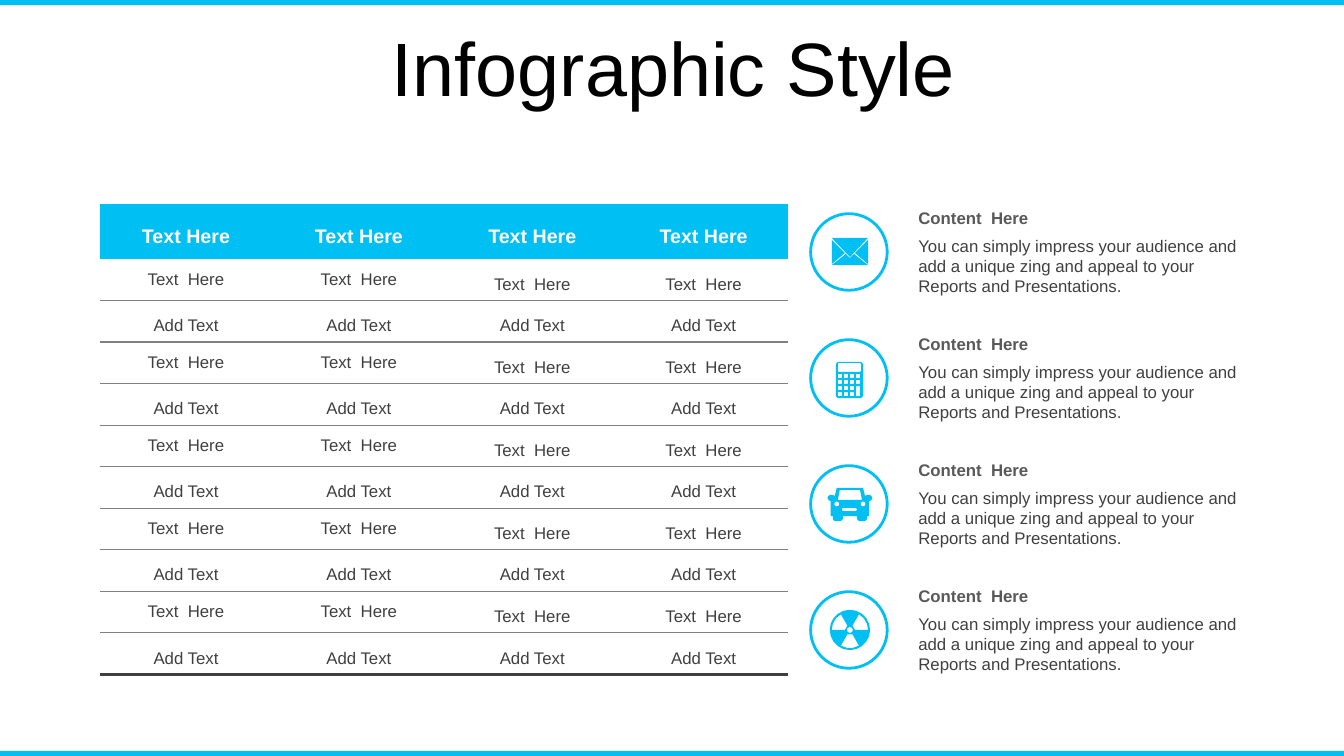
"""Build the infographic slide with a text table and four icon notes."""
import dataclasses
import math

import lxml.etree
import pptx
import pptx.dml.color
import pptx.enum.shapes
import pptx.enum.text
import pptx.oxml.ns
import pptx.util

EMU_PER_PX = 9144
COLORS = {
    "accent": "00BFF3",
    "white": "FFFFFF",
    "black": "000000",
    "heading": "595959",
    "text": "404040",
    "rule": "808080",
}
FONT = "Arial"
PLAIN_TABLE_STYLE = "{2D5ABB26-0587-4C30-8999-92F81FD0307C}"
SLIDE_WIDTH, SLIDE_HEIGHT, BAR_HEIGHT = 1333, 750, 5
TABLE_LEFT, TABLE_TOP = 99, 202
COLUMN_WIDTHS = (171, 172, 172, 168)
HEADER_HEIGHT, BODY_HEIGHT, BODY_ROWS = 55, 412, 10
NOTE_PITCH, NOTE_LEFT, NOTE_WIDTH = 125, 901, 342
BADGE_LEFT, BADGE_TOP, BADGE_SIZE = 804, 212, 76
ICON_X, ICON_Y = 843, 250
NOTE_HEADING = "Content  Here"
NOTE_BODY = ("You can simply impress your audience and add a unique zing "
             "and appeal to your Reports and Presentations.")
MIDDLE = pptx.enum.text.MSO_ANCHOR.MIDDLE
TOP = pptx.enum.text.MSO_ANCHOR.TOP
CENTER = pptx.enum.text.PP_ALIGN.CENTER
LEFT = pptx.enum.text.PP_ALIGN.LEFT
SHAPES = pptx.enum.shapes.MSO_SHAPE

Contour = list[tuple[float, float]]


@dataclasses.dataclass(frozen=True)
class Box:
    left: int
    top: int
    width: int
    height: int

    def emu(self) -> list[int]:
        return [px(length) for length in dataclasses.astuple(self)]


@dataclasses.dataclass(frozen=True)
class TextStyle:
    size: int
    color: str
    bold: bool = False
    align: int = LEFT
    spacing: float = 1.0


TITLE = TextStyle(54, "black", align=CENTER, spacing=0.9)
HEADER = TextStyle(14, "white", True, CENTER, 1.5)
CELL = TextStyle(12, "text", align=CENTER)
LOOSE_CELL = dataclasses.replace(CELL, spacing=1.5)
HEADING = TextStyle(12, "heading", True)
BODY = TextStyle(12, "text")


def px(length: float) -> int:
    return pptx.util.Emu(round(length * EMU_PER_PX))


def rgb(name: str) -> pptx.dml.color.RGBColor:
    return pptx.dml.color.RGBColor.from_string(COLORS[name])


def write(frame, text: str, style: TextStyle) -> None:
    paragraph = frame.paragraphs[0]
    paragraph.alignment = style.align
    paragraph.line_spacing = style.spacing
    run = paragraph.add_run()
    run.text = text
    run.font.name = FONT
    run.font.size = pptx.util.Pt(style.size)
    run.font.bold = style.bold
    run.font.color.rgb = rgb(style.color)


def add_text(shapes, box: Box, text: str, style: TextStyle, anchor=TOP, grow: bool = True) -> None:
    frame = shapes.add_textbox(*box.emu()).text_frame
    frame.word_wrap = True
    frame.vertical_anchor = anchor
    if grow:
        frame.auto_size = pptx.enum.text.MSO_AUTO_SIZE.SHAPE_TO_FIT_TEXT
    write(frame, text, style)


def paint(shape, fill: str, line: str = "") -> None:
    shape.shadow.inherit = False
    shape.fill.solid()
    shape.fill.fore_color.rgb = rgb(fill)
    if line:
        shape.line.color.rgb = rgb(line)
        shape.line.width = pptx.util.Pt(2)
    else:
        shape.line.fill.background()


def underline(cell, color: str, points: float) -> None:
    line = lxml.etree.Element(pptx.oxml.ns.qn("a:lnB"), w=str(pptx.util.Pt(points)))
    solid = lxml.etree.SubElement(line, pptx.oxml.ns.qn("a:solidFill"))
    lxml.etree.SubElement(solid, pptx.oxml.ns.qn("a:srgbClr"), val=COLORS[color])
    cell._tc.get_or_add_tcPr().insert(0, line)


def cell_content(row: int, column: int) -> tuple[str, TextStyle]:
    if row == 0:
        return "Text Here", HEADER
    if row % 2 == 0:
        return "Add Text", LOOSE_CELL
    return "Text  Here", CELL if column < 2 else LOOSE_CELL


def add_text_table(slide) -> None:
    box = Box(TABLE_LEFT, TABLE_TOP, sum(COLUMN_WIDTHS), HEADER_HEIGHT + BODY_HEIGHT)
    table = slide.shapes.add_table(BODY_ROWS + 1, len(COLUMN_WIDTHS), *box.emu()).table
    table.horz_banding = False
    table._tbl.tblPr.find(pptx.oxml.ns.qn("a:tableStyleId")).text = PLAIN_TABLE_STYLE
    for column, width in zip(table.columns, COLUMN_WIDTHS):
        column.width = px(width)
    for row_index, row in enumerate(table.rows):
        row.height = px(BODY_HEIGHT / BODY_ROWS if row_index else HEADER_HEIGHT)
        for column_index, cell in enumerate(row.cells):
            cell.fill.solid()
            cell.fill.fore_color.rgb = rgb("white" if row_index else "accent")
            cell.vertical_anchor = MIDDLE
            if row_index == BODY_ROWS:
                underline(cell, "text", 2.25)
            elif row_index:
                underline(cell, "rule", 1)
            write(cell.text_frame, *cell_content(row_index, column_index))


def arc(radius: float, start: int, sweep: int, steps: int) -> Contour:
    angles = [math.radians(start + sweep * step / steps) for step in range(steps + 1)]
    return [(radius * math.cos(angle), radius * math.sin(angle)) for angle in angles]


def disc(x: int, diameter: int, steps: int = 8) -> Contour:
    return [(x + dx, dy) for dx, dy in arc(diameter / 2, 0, 360, steps)[:-1]]


def bar(left: int, top: int, width: int, height: int, cut: int = 0) -> Contour:
    right, bottom = left + width, top + height
    if not cut:
        return [(left, top), (right, top), (right, bottom), (left, bottom)]
    return [(left + cut, top), (right - cut, top), (right, top + cut), (right, bottom - cut),
            (right - cut, bottom), (left + cut, bottom), (left, bottom - cut), (left, top + cut)]


def mirrored(right_half: Contour) -> Contour:
    return right_half + [(-x, y) for x, y in reversed(right_half)]


def envelope() -> list[Contour]:
    side = [(18, -12), (18, 12), (5, 1)]
    return [[(4, 2), (18, 13), (-18, 13), (-4, 2), (0, 6)],
            side, [(-x, y) for x, y in side],
            [(-18, -14), (18, -14), (0, 5)]]


def calculator() -> list[Contour]:
    keys = [bar(-12 + 6 * column, -4 + 6 * row, 4, 4)
            for row in range(4) for column in range(4) if column < 3 or row < 2]
    return [bar(-14, -16, 27, 36, 2), bar(-12, -15, 23, 9, 1), bar(6, 8, 4, 10), *keys]


def car() -> list[Contour]:
    body = mirrored([(13, -16), (15, -8), (17, -9), (20, -9), (22, -7), (22, -5), (20, -3),
                     (19, -3), (19, 12), (17, 12), (17, 15), (15, 17), (9, 17), (7, 15), (7, 12)])
    return [body, mirrored([(10, -14), (12, -4)]), disc(-13, 5), disc(13, 5), bar(-8, 4, 15, 3, 1)]


def radiation() -> list[Contour]:
    gaps = [arc(18, start, 60, 3) + arc(5, start + 60, -60, 1) for start in (60, 180, 300)]
    return [disc(0, 40, 20), disc(0, 6), *gaps]


def add_icon(slide, contours: list[Contour], y: int) -> None:
    placed = [[(px(ICON_X + dx), px(y + dy)) for dx, dy in contour] for contour in contours]
    builder = slide.shapes.build_freeform(*placed[0][0], scale=1.0)
    builder.add_line_segments(placed[0][1:], close=True)
    for contour in placed[1:]:
        builder.move_to(*contour[0])
        builder.add_line_segments(contour[1:], close=True)
    paint(builder.convert_to_shape(), "accent")


def main() -> None:
    presentation = pptx.Presentation()
    presentation.slide_width, presentation.slide_height = px(SLIDE_WIDTH), px(SLIDE_HEIGHT)
    slide = presentation.slides.add_slide(presentation.slide_layouts[6])
    for top in (0, SLIDE_HEIGHT - BAR_HEIGHT):
        band = Box(0, top, SLIDE_WIDTH, BAR_HEIGHT)
        paint(slide.shapes.add_shape(SHAPES.RECTANGLE, *band.emu()), "accent")
    add_text(slide.shapes, Box(35, 32, 1266, 79), "Infographic Style", TITLE, MIDDLE, grow=False)
    add_text_table(slide)
    for index, icon in enumerate((envelope, calculator, car, radiation)):
        offset = index * NOTE_PITCH
        badge = Box(BADGE_LEFT, BADGE_TOP + offset, BADGE_SIZE, BADGE_SIZE)
        paint(slide.shapes.add_shape(SHAPES.OVAL, *badge.emu()), "white", "accent")
        note = slide.shapes.add_group_shape().shapes
        add_text(note, Box(NOTE_LEFT, 201 + offset, NOTE_WIDTH, 30), NOTE_HEADING, HEADING, MIDDLE)
        add_text(note, Box(NOTE_LEFT, 229 + offset, NOTE_WIDTH, 71), NOTE_BODY, BODY)
        add_icon(slide, icon(), ICON_Y + offset)
    presentation.save("out.pptx")


if __name__ == "__main__":
    main()
